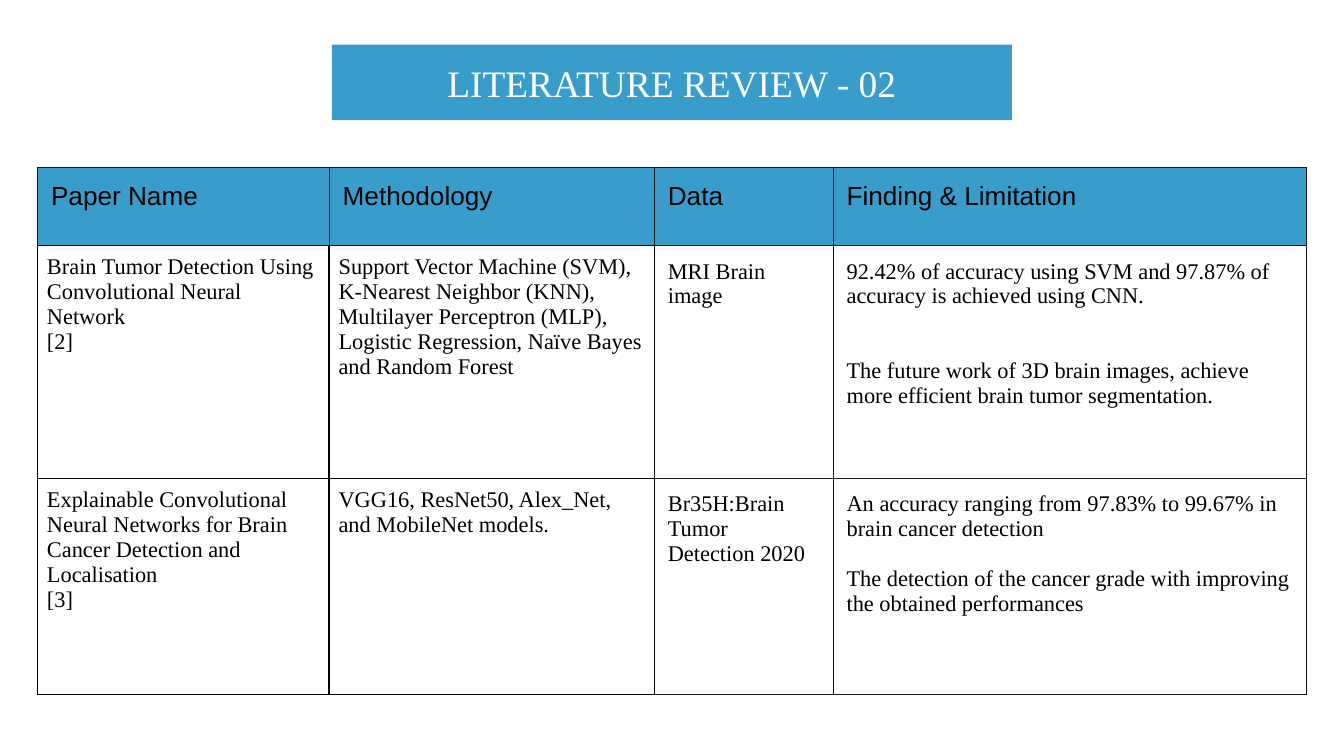
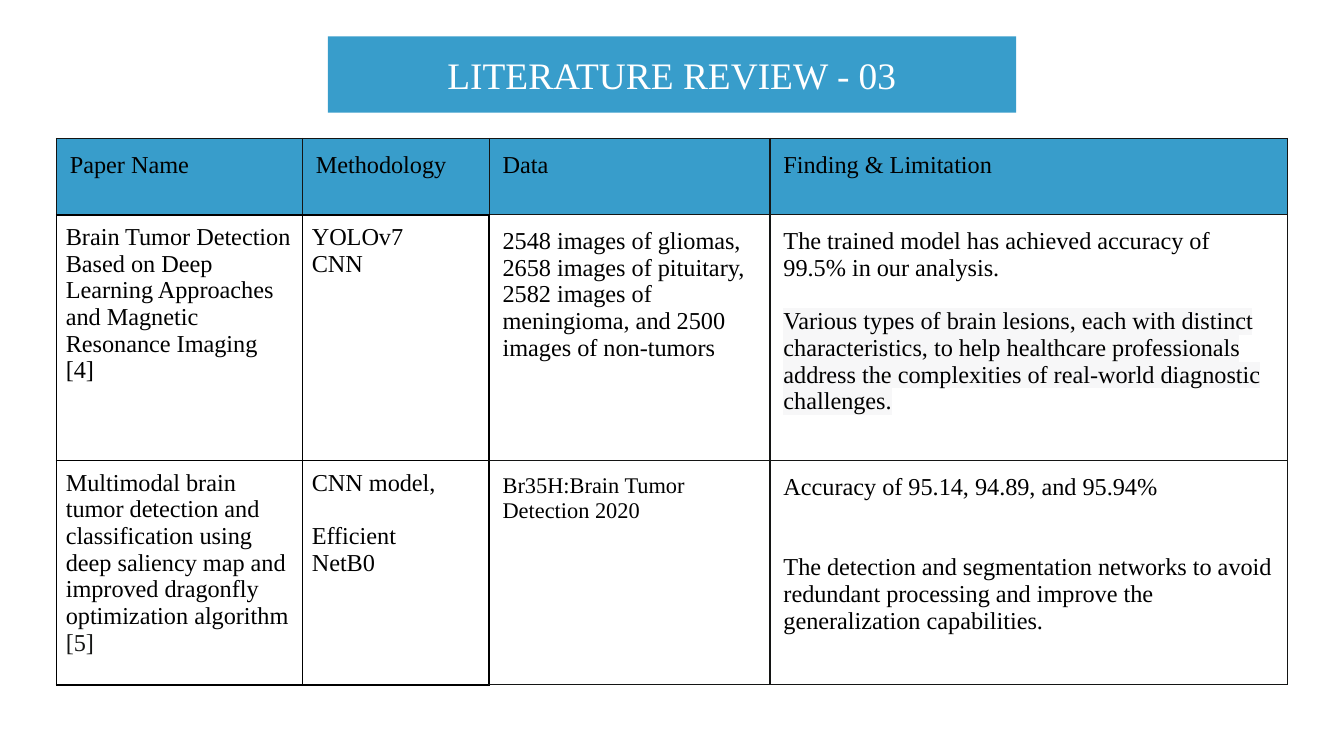
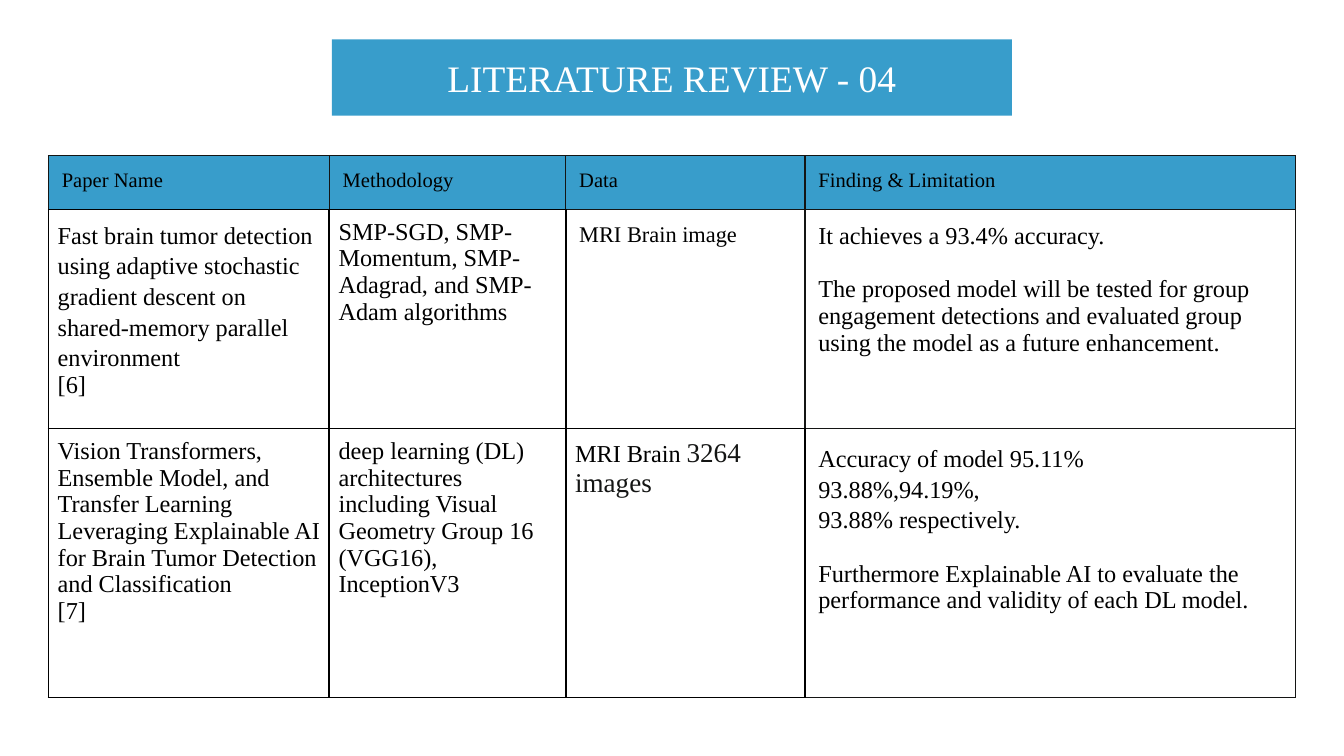
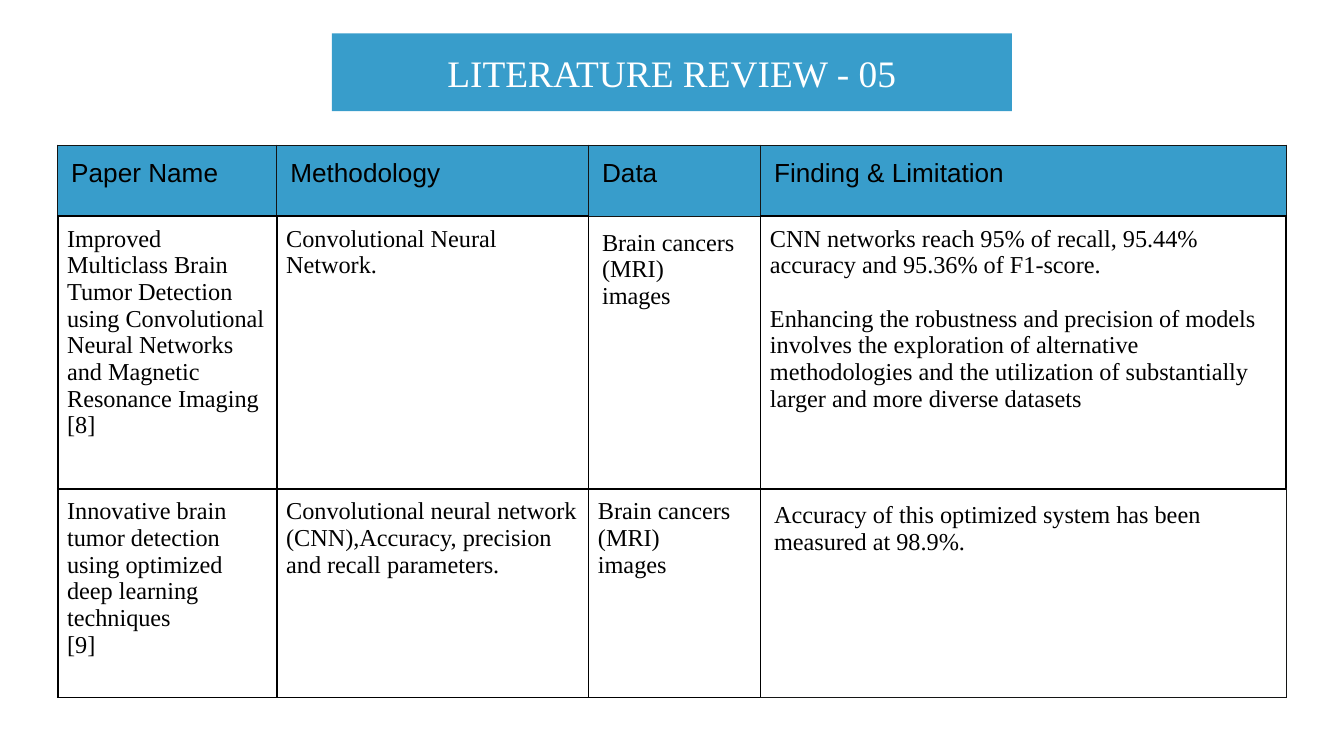
import pptx
import pptx.dml.color
import pptx.enum.text
import pptx.oxml
import pptx.oxml.ns
import pptx.util

BLUE = pptx.dml.color.RGBColor(0x38, 0x9D, 0xCB)
WHITE = pptx.dml.color.RGBColor(0xFF, 0xFF, 0xFF)
BLACK = pptx.dml.color.RGBColor(0x00, 0x00, 0x00)
INK = pptx.dml.color.RGBColor(0x14, 0x15, 0x14)
MIST = pptx.dml.color.RGBColor(0xF7, 0xF7, 0xF8)

SERIF, SANS = "Times New Roman", "Arial"
HEADS = ["Paper Name", "Methodology", "Data", "Finding & Limitation"]
SMALL = {"size": 12}
LOOSE = {"lead": 1.15}
LINE = 1.11  # height of one text line, as a share of the font size
TIGHT, ROOMY = pptx.util.Inches(0.07), pptx.util.Inches(0.1)
# Border tag, and the step (row, column) to the cell across it
EDGES = [("lnL", 0, -1), ("lnR", 0, 1), ("lnT", -1, 0), ("lnB", 1, 0)]

deck = pptx.Presentation()
deck.slide_width = pptx.util.Inches(10)
deck.slide_height = pptx.util.Inches(5.625)
COL, ROW = deck.slide_width / 100, deck.slide_height / 100

# band: top, width, height; cols, top and rows: percent of the slide.
# A cell lists its paragraphs; a number stands for that many lines of gap,
# and a list holds the (text, format) runs of one paragraph.
PAGES = [
    {
        "num": "02", "band": (5.9, 50.6, 10), "top": 22.2,
        "cols": [21.7, 24.2, 13.3, 35.2], "rows": [10.3, 30.8, 28.6],
        "head": (SANS, 14), "size": 12, "tight": [],
        "body": [
            [["Brain Tumor Detection Using Convolutional Neural Network", "[2]"],
             ["Support Vector Machine (SVM), K-Nearest Neighbor (KNN), "
              "Multilayer Perceptron (MLP), Logistic Regression, "
              "Naïve Bayes and Random Forest"],
             ["MRI Brain image"],
             ["92.42% of accuracy using SVM and 97.87% of accuracy "
              "is achieved using CNN.", 2,
              "The future work of 3D brain images, achieve more "
              "efficient brain tumor segmentation."]],
            [["Explainable Convolutional Neural Networks for Brain "
              "Cancer Detection and Localisation", "[3]"],
             ["VGG16, ResNet50, Alex_Net, and MobileNet models."],
             ["Br35H:Brain Tumor Detection 2020"],
             ["An accuracy ranging from 97.83% to 99.67% in brain "
              "cancer detection", 1,
              "The detection of the cancer grade with improving "
              "the obtained performances"]],
        ],
    },
    {
        "num": "03", "band": (4.8, 51.2, 10.1), "top": 18.3,
        "cols": [18.3, 13.9, 20.9, 38.5], "rows": [10.1, 32.5, 29.7],
        "head": (SERIF, 13), "size": 13, "tight": [],
        "body": [
            [["Brain Tumor Detection Based on Deep Learning Approaches "
              "and Magnetic Resonance Imaging", "[4]"],
             ["YOLOv7", "CNN"],
             ["2548 images of gliomas, 2658 images of pituitary, 2582 images "
              "of meningioma, and 2500 images of non-tumors"],
             ["The trained model has achieved accuracy of 99.5% in our "
              "analysis.", 1,
              [("Various types of brain lesions, each with distinct "
                "characteristics, to help healthcare professionals address "
                "the complexities of real-world diagnostic challenges.",
                {"mark": MIST})]]],
            [["Multimodal brain tumor detection and classification using "
              "deep saliency map and improved dragonfly optimization "
              "algorithm", [("[5]", {"color": INK})]],
             ["CNN model,", 1, "Efficient", "NetB0"],
             [[("Br35H:Brain Tumor Detection 2020", SMALL)]],
             ["Accuracy of 95.14, 94.89, and 95.94%", 2,
              "The detection and segmentation networks to avoid redundant "
              "processing and improve the generalization capabilities."]],
        ],
    },
    {
        "num": "04", "band": (5.2, 50.6, 10.1), "top": 20.6,
        "cols": [20.9, 17.6, 17.8, 36.5], "rows": [7.1, 29, 35.6],
        "head": (SERIF, 11), "size": 13, "tight": [(2, 2)],
        "body": [
            [[[("Fast brain tumor detection using adaptive stochastic "
                "gradient descent on shared-memory parallel environment",
                LOOSE)], "[6]"],
             ["SMP-SGD, SMP-Momentum, SMP-Adagrad, and SMP-Adam algorithms"],
             [[("MRI Brain image", SMALL)]],
             ["It achieves a 93.4% accuracy.", 1,
              "The proposed model will be tested for group engagement "
              "detections and evaluated group using the model as a future "
              "enhancement."]],
            [["Vision Transformers, Ensemble Model, and Transfer Learning "
              "Leveraging Explainable AI for Brain Tumor Detection and "
              "Classification", "[7]"],
             ["deep learning (DL) architectures including Visual Geometry "
              "Group 16 (VGG16), InceptionV3"],
             [[("MRI Brain ", {}),
               ("3264 images", {"size": 14.5, "color": INK})]],
             [[("Accuracy of model 95.11%", LOOSE)],
              [("93.88%,94.19%,", LOOSE)],
              [("93.88% respectively.", LOOSE)], 1,
              "Furthermore Explainable AI to evaluate the performance and "
              "validity of each DL model."]],
        ],
    },
    {
        "num": "05", "band": (4.4, 50.6, 10.3), "top": 19.2,
        "cols": [16.3, 23.2, 12.8, 39.1], "rows": [9.4, 36.1, 27.6],
        "head": (SANS, 14), "size": 13, "tight": [(1, 3), (2, 2)],
        "body": [
            [["Improved Multiclass Brain Tumor Detection using Convolutional "
              "Neural Networks and Magnetic Resonance Imaging", "[8]"],
             ["Convolutional Neural Network."],
             ["Brain cancers (MRI)", "images"],
             ["CNN networks reach 95% of recall, 95.44% accuracy and 95.36% "
              "of F1-score.", 1,
              "Enhancing the robustness and precision of models involves the "
              "exploration of alternative methodologies and the utilization "
              "of substantially larger and more diverse datasets"]],
            [["Innovative brain tumor detection using optimized deep "
              "learning techniques", "[9]"],
             ["Convolutional neural network (CNN),Accuracy, precision and "
              "recall parameters."],
             ["Brain cancers (MRI)", "images"],
             ["Accuracy of this optimized system has been measured at "
              "98.9%."]],
        ],
    },
]


def add_xml(parent, place, tag, rest):
    """Insert a drawing element, given as tag and the rest of its XML."""
    space = pptx.oxml.ns.nsdecls("a")
    parent.insert(place, pptx.oxml.parse_xml(f"<a:{tag} {space}{rest}</a:{tag}>"))


def fill_text(frame, paras, font, size, color, inset):
    for side in ("left", "right", "top", "bottom"):
        setattr(frame, f"margin_{side}", inset)
    gap, para = 0, None
    for item in paras:
        if isinstance(item, int):
            gap = item
            continue
        para = frame.add_paragraph() if para else frame.paragraphs[0]
        if gap:
            para.space_before = pptx.util.Pt(round(gap * size * LINE, 1))
            gap = 0
        for text, form in [(item, {})] if isinstance(item, str) else item:
            run = para.add_run()
            run.text = text
            run.font.color.rgb = form.get("color", color)
            if "mark" in form:
                add_xml(run.font._element, 1, "highlight",
                        f'><a:srgbClr val="{form["mark"]}"/>')
            looks = {"name": font, "bold": False,
                     "size": pptx.util.Pt(form.get("size", size))}
            for key, value in looks.items():
                setattr(run.font, key, value)
            if "lead" in form:
                para.line_spacing = form["lead"]


for page in PAGES:
    slide = deck.slides.add_slide(deck.slide_layouts[5])

    # Title band
    title = slide.shapes.title
    top, wide, high = page["band"]
    place = {"left": (100 - wide) / 2 * COL, "top": top * ROW,
             "width": wide * COL, "height": high * ROW}
    for key, value in place.items():
        setattr(title, key, int(value))
    add_xml(title._element.spPr, 1, "prstGeom", ' prst="roundRect"><a:avLst>'
            '<a:gd name="adj" fmla="val 16700"/></a:avLst>')
    title.fill.solid()
    title.fill.fore_color.rgb = BLUE
    title.line.fill.background()
    frame = title.text_frame
    looks = {"word_wrap": True,
             "auto_size": pptx.enum.text.MSO_AUTO_SIZE.NONE,
             "vertical_anchor": pptx.enum.text.MSO_ANCHOR.MIDDLE}
    for key, value in looks.items():
        setattr(frame, key, value)
    fill_text(frame, [f"LITERATURE REVIEW - {page['num']}"],
              SERIF, 20, WHITE, ROOMY)
    frame.paragraphs[0].alignment = pptx.enum.text.PP_ALIGN.CENTER

    # Table, centred across the slide
    cols, rows = page["cols"], page["rows"]
    wide = sum(cols)
    table = slide.shapes.add_table(
        len(rows), len(cols), int((100 - wide) / 2 * COL),
        int(page["top"] * ROW), int(wide * COL), int(sum(rows) * ROW)).table
    table.first_row = table.horz_banding = False
    for col, share in zip(table.columns, cols):
        col.width = int(share * COL)
    for row, share in zip(table.rows, rows):
        row.height = int(share * ROW)

    # Tight cells have a small inset and heavy borders
    tight = {(1, 0), (1, 1), (2, 0), (2, 1), *page["tight"]}
    grid = [[[head] for head in HEADS], *page["body"]]
    for r, line in enumerate(grid):
        for c, paras in enumerate(line):
            cell = table.cell(r, c)
            font, size = (SERIF, page["size"]) if r else page["head"]
            inset = TIGHT if (r, c) in tight else ROOMY
            fill_text(cell.text_frame, paras, font, size, BLACK, inset)
            for side in ("left", "right", "top", "bottom"):
                setattr(cell, f"margin_{side}", inset)
            props = cell._tc.get_or_add_tcPr()
            for spot, (tag, down, over) in enumerate(EDGES):
                heavy = tight & {(r, c), (r + down, c + over)}
                color, width = (BLACK, 1) if heavy else (INK, 0.75)
                add_xml(props, spot, tag,
                        f' w="{int(pptx.util.Pt(width))}"><a:solidFill>'
                        f'<a:srgbClr val="{color}"/></a:solidFill>')
            cell.fill.solid()
            cell.fill.fore_color.rgb = WHITE if r else BLUE

deck.save("out.pptx")
